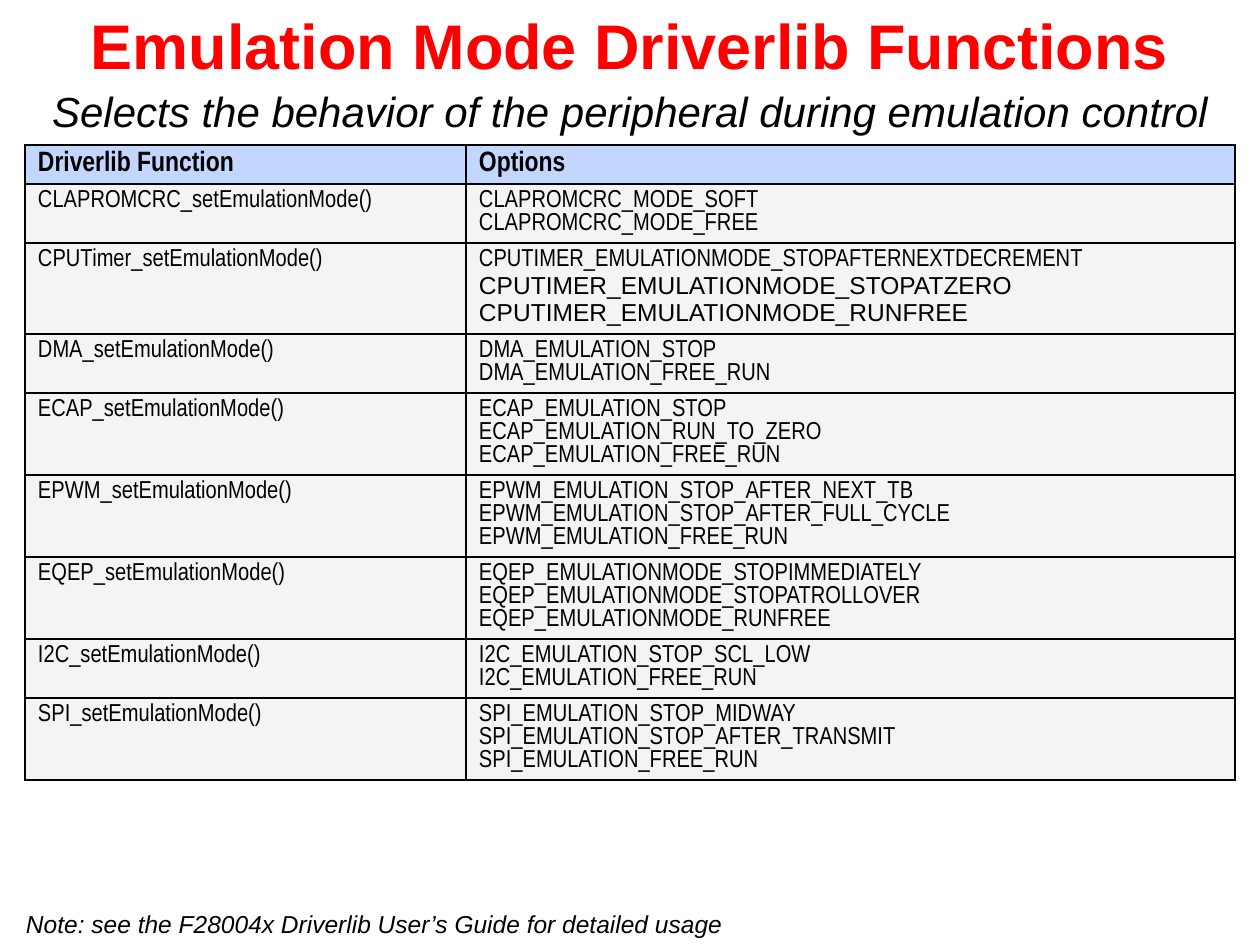
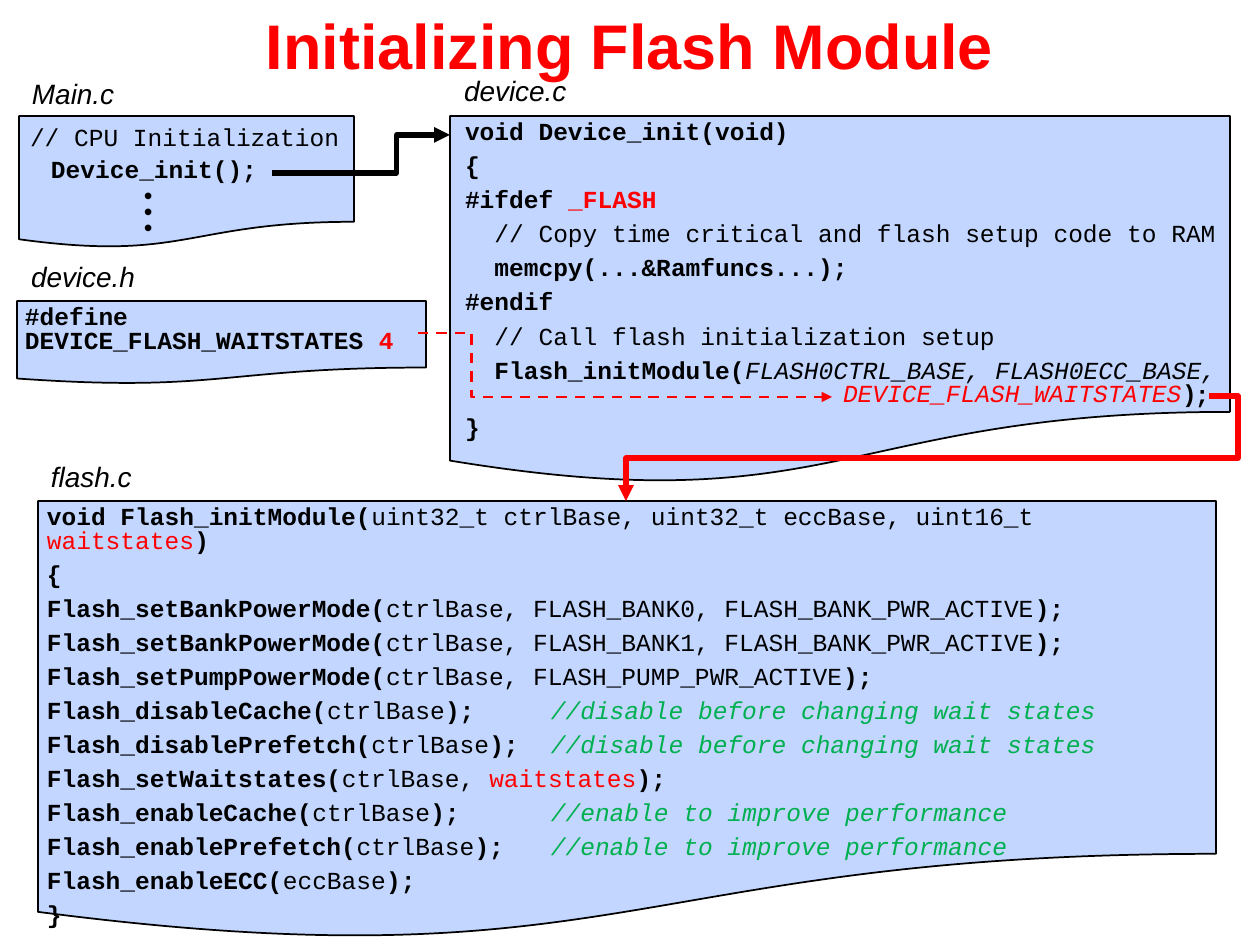
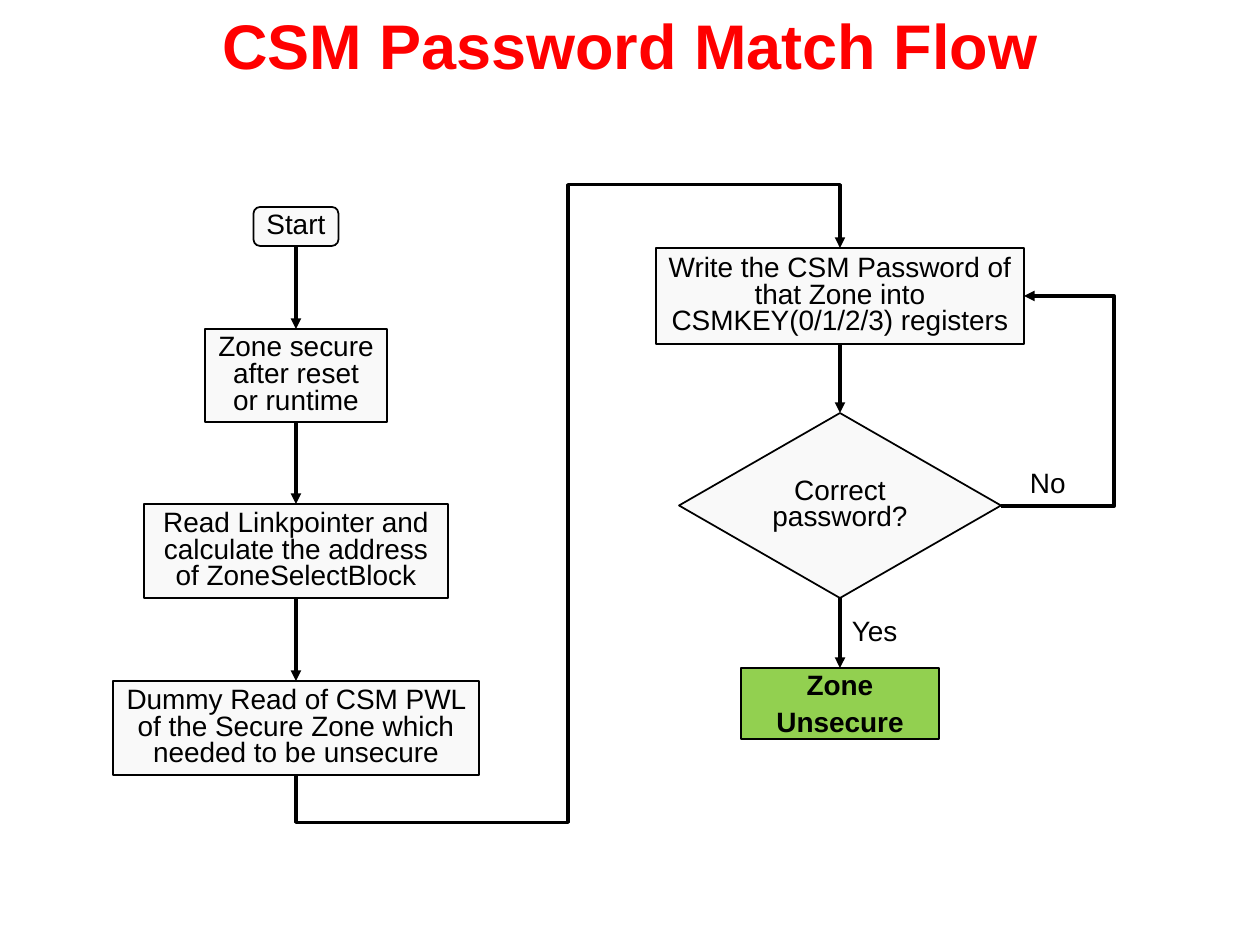
from lxml.etree import SubElement
from pptx import Presentation
from pptx.dml.color import RGBColor
from pptx.enum.dml import MSO_LINE
from pptx.enum.shapes import MSO_CONNECTOR as Connector, MSO_SHAPE as Shape
from pptx.enum.text import MSO_ANCHOR as Anchor, MSO_AUTO_SIZE as AutoSize, PP_ALIGN as Align
from pptx.oxml.ns import qn
from pptx.util import Pt

EMU_PER_PX = 914400 / 126
WIDTH, HEIGHT = 1260, 945
BLACK, RED, GREEN = "000000", "FF0000", "00B050"
BLUE, GREY, PALE, LIME = "C2D6FF", "F4F4F4", "F9F9F9", "92D050"
SANS, NARROW, MONO = "Arial", "Arial Narrow", "Courier New"
CODE_TABS = (378, 504)

PLAIN = {}
BOLD = {"bold": True}
ITALIC = {"italic": True}
RED_PLAIN = {"color": RED}
RED_BOLD = {"color": RED, "bold": True}
RED_ITALIC = {"color": RED, "italic": True}
COMMENT = {"color": GREEN, "italic": True}

EMULATION_OPTIONS = [
    ("CLAPROMCRC_setEmulationMode()", ["CLAPROMCRC_MODE_SOFT", "CLAPROMCRC_MODE_FREE"]),
    ("CPUTimer_setEmulationMode()", ["CPUTIMER_EMULATIONMODE_STOPAFTERNEXTDECREMENT",
                                     "CPUTIMER_EMULATIONMODE_STOPATZERO",
                                     "CPUTIMER_EMULATIONMODE_RUNFREE"]),
    ("DMA_setEmulationMode()", ["DMA_EMULATION_STOP", "DMA_EMULATION_FREE_RUN"]),
    ("ECAP_setEmulationMode()", ["ECAP_EMULATION_STOP", "ECAP_EMULATION_RUN_TO_ZERO",
                                 "ECAP_EMULATION_FREE_RUN"]),
    ("EPWM_setEmulationMode()", ["EPWM_EMULATION_STOP_AFTER_NEXT_TB",
                                 "EPWM_EMULATION_STOP_AFTER_FULL_CYCLE",
                                 "EPWM_EMULATION_FREE_RUN"]),
    ("EQEP_setEmulationMode()", ["EQEP_EMULATIONMODE_STOPIMMEDIATELY",
                                 "EQEP_EMULATIONMODE_STOPATROLLOVER",
                                 "EQEP_EMULATIONMODE_RUNFREE"]),
    ("I2C_setEmulationMode()", ["I2C_EMULATION_STOP_SCL_LOW", "I2C_EMULATION_FREE_RUN"]),
    ("SPI_setEmulationMode()", ["SPI_EMULATION_STOP_MIDWAY", "SPI_EMULATION_STOP_AFTER_TRANSMIT",
                                "SPI_EMULATION_FREE_RUN"]),
]
WIDE_OPTIONS = {"CPUTIMER_EMULATIONMODE_STOPATZERO", "CPUTIMER_EMULATIONMODE_RUNFREE"}


def px(length):
    """Turn pixels into EMU."""
    return round(length * EMU_PER_PX)


def rgb(color):
    """Turn a hex string into a colour."""
    return RGBColor.from_string(color)


def add_run(paragraph, text, size, font=SANS, color=BLACK, bold=False, italic=False):
    """Add one formatted run."""
    run = paragraph.add_run()
    run.text = text
    run.font.size = Pt(size)
    run.font.name = font
    run.font.bold = bold
    run.font.italic = italic
    run.font.color.rgb = rgb(color)


def fill_text(frame, lines, size, font=SANS, align=Align.LEFT, space=0, line_spacing=0.8, tabs=()):
    """Write lines of (text, style) runs; a line that starts with a tab continues the one above."""
    for index, runs in enumerate(lines):
        paragraph = frame.add_paragraph() if index else frame.paragraphs[0]
        paragraph.alignment = align
        paragraph.line_spacing = line_spacing
        continues = runs[0][0].startswith("\t")
        paragraph.space_before = Pt(space if index and not continues else 0)
        if tabs:
            stops = SubElement(paragraph._p.get_or_add_pPr(), qn("a:tabLst"))
            for position in tabs:
                SubElement(stops, qn("a:tab"), pos=str(px(position)), algn="l")
        for text, style in runs:
            add_run(paragraph, text, size, font, **style)


def set_frame(frame, margins, anchor, wrap):
    """Set the insets, anchor and wrapping of a text frame."""
    frame.auto_size = AutoSize.NONE
    frame.word_wrap = wrap
    frame.vertical_anchor = anchor
    frame.margin_left = frame.margin_right = px(margins[0])
    frame.margin_top = frame.margin_bottom = px(margins[1])


def add_text(slide, box, lines, size, font=SANS, align=Align.LEFT, space=0,
             margins=(12, 6), anchor=Anchor.TOP, wrap=False, tabs=()):
    """Add a text box."""
    frame = slide.shapes.add_textbox(*map(px, box)).text_frame
    set_frame(frame, margins, anchor, wrap)
    fill_text(frame, lines, size, font, align, space, tabs=tabs)


def add_box(slide, kind, box, fill):
    """Add an outlined, filled preset shape."""
    shape = slide.shapes.add_shape(kind, *map(px, box))
    shape.shadow.inherit = False
    shape.fill.solid()
    shape.fill.fore_color.rgb = rgb(fill)
    shape.line.color.rgb = rgb(BLACK)
    shape.line.width = Pt(1)
    return shape


def add_arrow(slide, start, end, width, color=BLACK, bends=(), turned=False, dashed=False):
    """Add an arrow, straight or bent at fractions of its frame, which may be turned by 90 degrees."""
    if turned:
        middle_x, middle_y = (start[0] + end[0]) / 2, (start[1] + end[1]) / 2
        start, end = ((middle_x + y - middle_y, middle_y - x + middle_x) for x, y in (start, end))
    kind = Connector.ELBOW if bends else Connector.STRAIGHT
    connector = slide.shapes.add_connector(kind, *map(px, (*start, *end)))
    connector.line.color.rgb = rgb(color)
    connector.line.width = Pt(width)
    if dashed:
        connector.line.dash_style = MSO_LINE.DASH
    properties = connector._element.spPr
    if turned:
        properties.find(qn("a:xfrm")).set("rot", "5400000")
    if bends:
        geometry = properties.find(qn("a:prstGeom"))
        geometry.set("prst", f"bentConnector{len(bends) + 2}")
        guides = geometry.find(qn("a:avLst"))
        if guides is None:
            guides = SubElement(geometry, qn("a:avLst"))
        for number, bend in enumerate(bends, 1):
            SubElement(guides, qn("a:gd"), name=f"adj{number}", fmla=f"val {round(bend * 100000)}")
    SubElement(connector.line._get_or_add_ln(), qn("a:tailEnd"), type="triangle")
    SubElement(properties, qn("a:effectLst"))


def add_titled_slide(presentation, title):
    """Add a title-only slide with the shared title style."""
    slide = presentation.slides.add_slide(presentation.slide_layouts[5])
    shape = slide.shapes.title
    shape.left, shape.top, shape.width, shape.height = map(px, (0, 0, WIDTH, 102))
    frame = shape.text_frame
    set_frame(frame, (12, 6), Anchor.MIDDLE, True)
    frame.margin_top, frame.margin_bottom = px(4), px(18)
    paragraph = frame.paragraphs[0]
    paragraph.alignment = Align.CENTER
    add_run(paragraph, title, 36, color=RED, bold=True)
    return slide


def format_cell(cell, lines, size, fill, style):
    """Write a table cell and give it its fill and borders."""
    cell.margin_left = cell.margin_right = px(13)
    cell.margin_top = cell.margin_bottom = px(6)
    fill_text(cell.text_frame, [[(line, style)] for line in lines], size, NARROW, line_spacing=1.0)
    for paragraph in cell.text_frame.paragraphs:
        if paragraph.text in WIDE_OPTIONS:
            paragraph.runs[0].font.name = SANS
    properties = cell._tc.get_or_add_tcPr()
    for side in ("lnL", "lnR", "lnT", "lnB"):
        border = SubElement(properties, qn(f"a:{side}"), w=str(Pt(1)))
        SubElement(SubElement(border, qn("a:solidFill")), qn("a:srgbClr"), val=BLACK)
    cell.fill.solid()
    cell.fill.fore_color.rgb = rgb(fill)


def option_row_height(options):
    """Return the height of a row from its number of narrow and wide lines."""
    return 13 + sum(27.5 if option in WIDE_OPTIONS else 23 for option in options)


def add_options_table(slide, left, top):
    """Add the table of functions and their options."""
    rows = [("Driverlib Function", ["Options"])] + EMULATION_OPTIONS
    heights = [39] + [option_row_height(options) for _, options in EMULATION_OPTIONS]
    widths = (441, 769)
    frame = slide.shapes.add_table(len(rows), 2, *map(px, (left, top, sum(widths), sum(heights))))
    table = frame.table
    for column, width in zip(table.columns, widths):
        column.width = px(width)
    for index, (function, options) in enumerate(rows):
        table.rows[index].height = px(heights[index])
        size, fill, style = (14, GREY, PLAIN) if index else (16, BLUE, BOLD)
        format_cell(table.cell(index, 0), [function], size, fill, style)
        format_cell(table.cell(index, 1), options, size, fill, style)


def build_emulation_slide(presentation):
    """Build the slide of emulation mode functions."""
    slide = add_titled_slide(presentation, "Emulation Mode Driverlib Functions")
    add_options_table(slide, 25, 145)
    subtitle = "Selects the behavior of the peripheral during emulation control"
    add_text(slide, (38, 89, 1184, 53), [[(subtitle, ITALIC)]], 24,
             align=Align.CENTER, anchor=Anchor.MIDDLE, wrap=True)
    note = "Note: see the F28004x Driverlib User’s Guide for detailed usage"
    add_text(slide, (26, 914, 659, 24), [[(note, ITALIC)]], 14,
             margins=(0, 0), anchor=Anchor.MIDDLE)


def add_source_file(slide, name, box, label, code=(), insets=(0, 0)):
    """Add a document shape with its file name at a label offset and its code between side insets."""
    left, top, width, height = box
    add_box(slide, Shape.FLOWCHART_DOCUMENT, box, BLUE)
    add_text(slide, (left + label[0], top + label[1], 130, 40), [[(name, ITALIC)]], 16)
    if code:
        add_text(slide, (left + insets[0], top, width - sum(insets), height), code, 14, MONO,
                 space=6, margins=(0, 6), wrap=True, tabs=CODE_TABS)


def add_main_code(slide, left, top):
    """Add the start-up code of the main file."""
    add_text(slide, (left, top, 336, 37), [[("// CPU Initialization", PLAIN)]], 14, MONO)
    add_text(slide, (left + 21, top + 32, 233, 37), [[("Device_init();", BOLD)]], 14, MONO)
    for number in range(3):
        add_text(slide, (left + 111, top + 58 + 16 * number, 40, 37), [[("•", PLAIN)]], 14, MONO)


def call(function, arguments, comment=""):
    """Return the runs of a function call with an optional comment."""
    runs = [(f"{function}(", BOLD), (arguments, PLAIN), (");\t" if comment else ");", BOLD)]
    return runs + [(comment, COMMENT)] if comment else runs


def build_flash_slide(presentation):
    """Build the slide of flash initialization code."""
    slide = add_titled_slide(presentation, "Initializing Flash Module")
    slower, faster = "//disable before changing wait states", "//enable to improve performance"
    flash_code = [
        [("void Flash_initModule(", BOLD),
         ("uint32_t ctrlBase, uint32_t eccBase, uint16_t ", PLAIN),
         ("waitstates", RED_PLAIN), (")", BOLD)],
        [("{", BOLD)],
        call("Flash_setBankPowerMode", "ctrlBase, FLASH_BANK0, FLASH_BANK_PWR_ACTIVE"),
        call("Flash_setBankPowerMode", "ctrlBase, FLASH_BANK1, FLASH_BANK_PWR_ACTIVE"),
        call("Flash_setPumpPowerMode", "ctrlBase, FLASH_PUMP_PWR_ACTIVE"),
        call("Flash_disableCache", "ctrlBase", slower),
        call("Flash_disablePrefetch", "ctrlBase", slower),
        [("Flash_setWaitstates(", BOLD), ("ctrlBase, ", PLAIN),
         ("waitstates", RED_PLAIN), (");", BOLD)],
        call("Flash_enableCache", "ctrlBase", faster),
        call("Flash_enablePrefetch", "ctrlBase", faster),
        call("Flash_enableECC", "eccBase"),
        [("}", BOLD)],
    ]
    device_code = [
        [("void Device_init(void)", BOLD)],
        [("{", BOLD)],
        [("#ifdef ", BOLD), ("_FLASH", RED_BOLD)],
        [("  // Copy time critical and flash setup code to RAM", PLAIN)],
        [("  memcpy(...&Ramfuncs...);", BOLD)],
        [("#endif", BOLD)],
        [("  // Call flash initialization setup", PLAIN)],
        [("  Flash_initModule(", BOLD), ("FLASH0CTRL_BASE, FLASH0ECC_BASE,", ITALIC)],
        [("\tDEVICE_FLASH_WAITSTATES", RED_ITALIC), (")", BOLD)],
        [("}", BOLD)],
    ]
    header_code = [[("#define DEVICE_FLASH_WAITSTATES ", BOLD), ("4", RED_BOLD)]]

    add_source_file(slide, "Main.c", (19, 116, 335, 132), (1, -39))
    add_main_code(slide, 18, 122)
    add_source_file(slide, "flash.c", (38, 501, 1178, 440), (1, -41), flash_code, (9, 9))
    add_source_file(slide, "device.c", (450, 116, 780, 369), (2, -42), device_code, (15, 0))
    add_source_file(slide, "device.h", (17, 301, 409, 83), (2, -41), header_code, (8, 8))
    add_text(slide, (1189, 378, 28, 37), [[(";", BOLD)]], 14, MONO,
             margins=(6, 6), anchor=Anchor.MIDDLE)
    add_arrow(slide, (272, 173), (450, 135), 3, bends=[0.7])
    add_arrow(slide, (418, 333), (832, 397), 1.5, RED, bends=[0.13], dashed=True)
    add_arrow(slide, (1209, 396), (626, 501), 3, RED, bends=[-0.05, 0.59])


def add_step(slide, kind, center_x, top, size, text):
    """Add a flow step centred on a column."""
    width, height = size
    shape = add_box(slide, kind, (center_x - width / 2, top, width, height), PALE)
    set_frame(shape.text_frame, (12, 6), Anchor.MIDDLE, kind != Shape.ROUNDED_RECTANGLE)
    fill_text(shape.text_frame, [[(text, PLAIN)]], 16, align=Align.CENTER)


def add_column_arrows(slide, center_x, spans):
    """Add the arrows that lead down a column."""
    for top, bottom in spans:
        add_arrow(slide, (center_x, top), (center_x, bottom), 2)


def add_unlocking_steps(slide, x):
    """Add the left column, from the start to the dummy read."""
    add_step(slide, Shape.ROUNDED_RECTANGLE, x, 207, (85, 39), "Start")
    add_step(slide, Shape.RECTANGLE, x, 329, (182, 93), "Zone secure after reset or runtime")
    add_step(slide, Shape.RECTANGLE, x, 504, (304, 94),
             "Read Linkpointer and calculate the address of ZoneSelectBlock")
    add_step(slide, Shape.RECTANGLE, x, 681, (366, 94),
             "Dummy Read of CSM PWL of the Secure Zone which needed to be unsecure")
    add_column_arrows(slide, x, [(246, 329), (422, 504), (598, 681)])


def add_password_steps(slide, x):
    """Add the right column, from writing the password to the open zone."""
    add_step(slide, Shape.RECTANGLE, x, 248, (368, 96),
             "Write the CSM Password of that Zone into CSMKEY(0/1/2/3) registers")
    add_step(slide, Shape.FLOWCHART_DECISION, x, 413, (322, 185), "Correct password?")
    zone = add_box(slide, Shape.RECTANGLE, (x - 99, 668, 198, 71), LIME)
    set_frame(zone.text_frame, (12, 6), Anchor.TOP, True)
    zone.text_frame.margin_bottom = 0
    fill_text(zone.text_frame, [[("Zone", BOLD)], [("Unsecure", BOLD)]], 16,
              align=Align.CENTER, space=6)
    add_column_arrows(slide, x, [(344, 413), (598, 668)])
    add_text(slide, (x, 614, 73, 39), [[("Yes", PLAIN)]], 16)
    add_text(slide, (x + 178, 466, 60, 39), [[("No", PLAIN)]], 16)
    add_arrow(slide, (x + 161, 506), (x + 184, 296), 2, bends=[4.92])


def build_password_slide(presentation):
    """Build the password match flow chart."""
    slide = add_titled_slide(presentation, "CSM Password Match Flow")
    left_x, right_x = 296, 840
    add_unlocking_steps(slide, left_x)
    add_password_steps(slide, right_x)
    add_arrow(slide, (left_x, 775), (right_x, 248), 2, bends=[-0.09, 0.5, 1.12], turned=True)


def main():
    """Build and save the presentation."""
    presentation = Presentation()
    presentation.slide_width, presentation.slide_height = px(WIDTH), px(HEIGHT)
    build_emulation_slide(presentation)
    build_flash_slide(presentation)
    build_password_slide(presentation)
    presentation.save("out.pptx")


if __name__ == "__main__":
    main()
